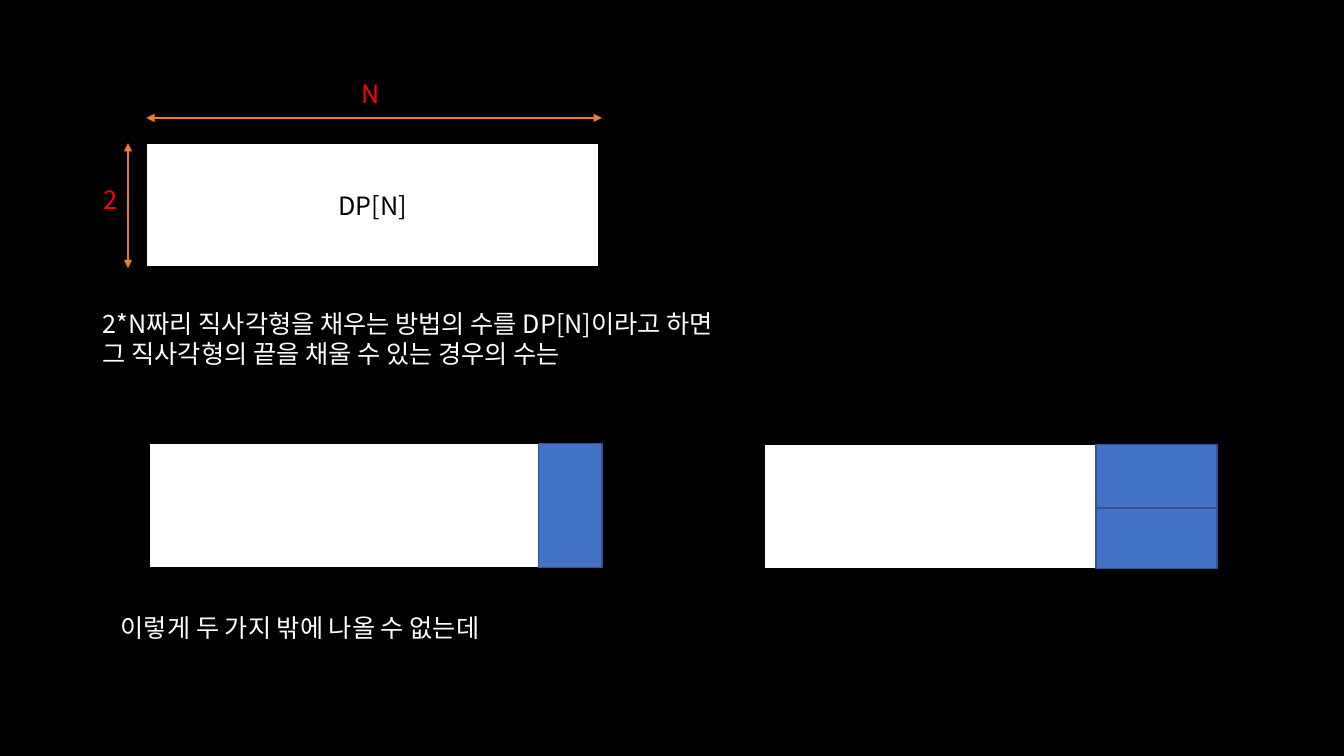
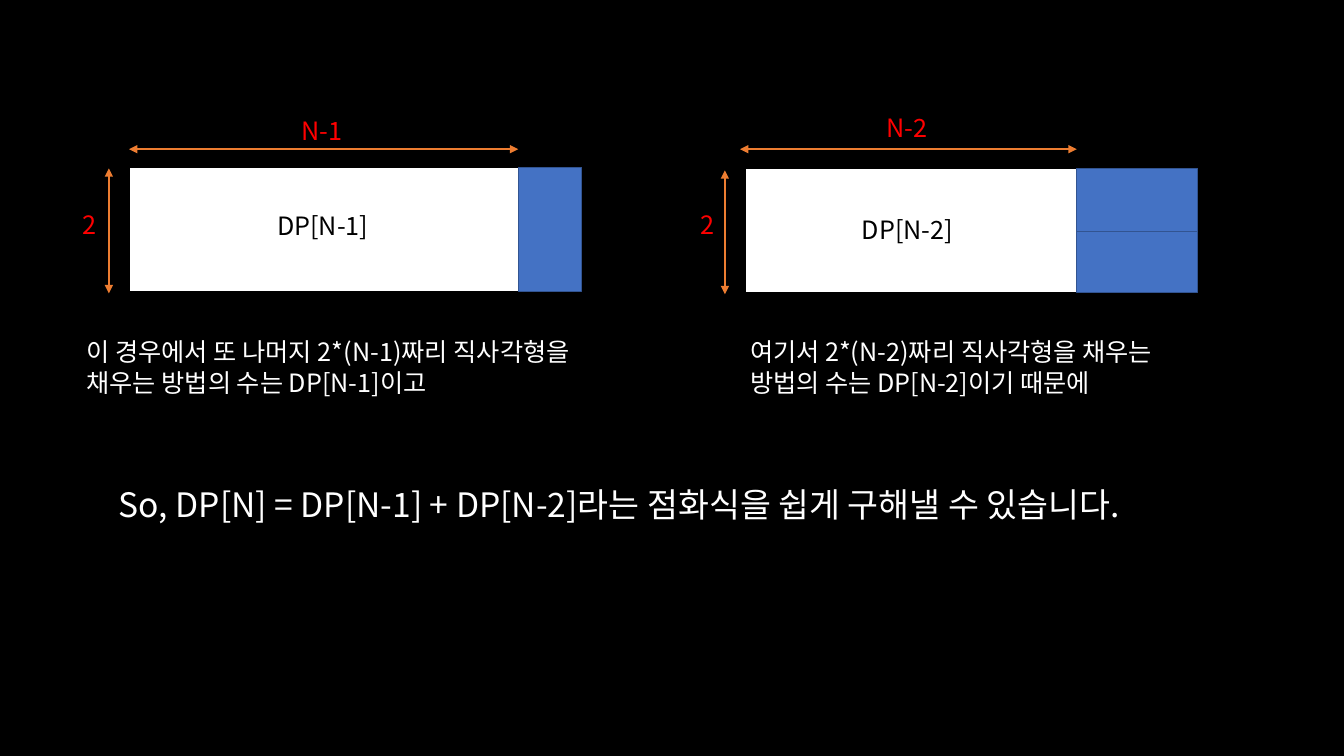
from lxml import etree
from pptx import Presentation
from pptx.dml.color import RGBColor
from pptx.enum.shapes import MSO_CONNECTOR, MSO_SHAPE
from pptx.enum.text import MSO_ANCHOR, MSO_AUTO_SIZE, PP_ALIGN
from pptx.oxml.ns import qn
from pptx.util import Pt

PX = 9144  # 100 px to the inch
BLACK = RGBColor(0x00, 0x00, 0x00)
WHITE = RGBColor(0xFF, 0xFF, 0xFF)
RED = RGBColor(0xFF, 0x00, 0x00)
ORANGE = RGBColor(0xED, 0x7D, 0x31)
BLUE = RGBColor(0x44, 0x72, 0xC4)
NAVY = RGBColor(0x32, 0x54, 0x91)
FONT = "Noto Sans CJK KR"
RECTANGLE = MSO_SHAPE.RECTANGLE
STRAIGHT = MSO_CONNECTOR.STRAIGHT
MIDDLE = MSO_ANCHOR.MIDDLE
CENTER = PP_ALIGN.CENTER
FIT_SHAPE = MSO_AUTO_SIZE.SHAPE_TO_FIT_TEXT

# The board and the dominoes that close it
BOARD_WIDTH, BOARD_HEIGHT = 449, 123
UPRIGHT_WIDTH = 63
FLAT_WIDTH, FLAT_HEIGHTS = 120, (63, 60)


class Painter:
    def __init__(self, deck):
        self.deck = deck
        self.page = None

    def new_page(self):
        self.page = self.deck.slides.add_slide(self.deck.slide_layouts[6])
        fill = self.page.background.fill
        fill.solid()
        fill.fore_color.rgb = BLACK

    def add_span(self, para, words, color, size):
        span = para.add_run()
        span.text = words
        for name, value in {"name": FONT, "size": Pt(size)}.items():
            setattr(span.font, name, value)
        span.font.color.rgb = color
        # East Asian letters take their font from a separate element
        etree.SubElement(span.font._element, qn("a:ea"), typeface=FONT)

    def text(self, left, top, width, lines, color=WHITE, size=18, height=40):
        box = self.page.shapes.add_textbox(left * PX, top * PX, width * PX, height * PX)
        frame = box.text_frame
        for name, value in {"word_wrap": False, "auto_size": FIT_SHAPE}.items():
            setattr(frame, name, value)
        for index, words in enumerate(lines):
            para = frame.add_paragraph() if index else frame.paragraphs[0]
            self.add_span(para, words, color, size)

    def rectangle(self, left, top, width, height, fill, edge):
        shape = self.page.shapes.add_shape(
            RECTANGLE, left * PX, top * PX, width * PX, height * PX)
        shape.shadow.inherit = False
        shape.fill.solid()
        shape.fill.fore_color.rgb = fill
        shape.line.color.rgb = edge
        shape.line.width = Pt(1)
        return shape

    def board(self, left, top, label=None):
        shape = self.rectangle(left, top, BOARD_WIDTH, BOARD_HEIGHT, WHITE, BLACK)
        if label:
            shape.text_frame.vertical_anchor = MIDDLE
            para = shape.text_frame.paragraphs[0]
            para.alignment = CENTER
            self.add_span(para, label, BLACK, 18)

    def board_with_upright(self, left, top):
        self.board(left, top)
        self.rectangle(left + BOARD_WIDTH - UPRIGHT_WIDTH, top,
                       UPRIGHT_WIDTH, BOARD_HEIGHT, BLUE, NAVY)

    def board_with_flats(self, left, top):
        self.board(left, top)
        for height in FLAT_HEIGHTS:
            self.rectangle(left + BOARD_WIDTH - FLAT_WIDTH, top,
                           FLAT_WIDTH, height, BLUE, NAVY)
            top += height

    def arrow(self, x1, y1, x2, y2):
        connector = self.page.shapes.add_connector(
            STRAIGHT, x1 * PX, y1 * PX, x2 * PX, y2 * PX)
        connector.line.color.rgb = ORANGE
        connector.line.width = Pt(1)
        line = connector.line._get_or_add_ln()
        for end in ("a:headEnd", "a:tailEnd"):
            etree.SubElement(line, qn(end), type="triangle")
        etree.SubElement(connector._element.spPr, qn("a:effectLst"))


def draw_cases(painter):
    painter.new_page()
    # The whole board and its measures
    painter.board(145, 142, "DP[N]")
    painter.arrow(145, 117, 597, 117)
    painter.text(349, 73, 39, ["N"], RED)
    painter.arrow(127, 266, 127, 142)
    painter.text(93, 178, 34, ["2"], RED)
    painter.text(92, 301, 699, ["2*N짜리 직사각형을 채우는 방법의 수를 DP[N]이라고 하면",
                                "그 직사각형의 끝을 채울 수 있는 경우의 수는"], height=71)
    # The two ways to close it
    painter.board_with_upright(148, 440)
    painter.board_with_flats(758, 441)
    painter.text(110, 603, 436, ["이렇게 두 가지 밖에 나올 수 없는데"])


def draw_recurrence(painter):
    painter.new_page()
    painter.board_with_upright(128, 166)
    painter.board_with_flats(739, 167)
    # Measures: across arrow, its label, down arrow, its label, board label
    measures = [
        ((128, 148, 514, 148), (289, 109, "N-1"), (108, 291, 108, 167), 72, (265, 204)),
        ((734, 148, 1068, 148), (869, 107, "N-2"), (719, 292, 719, 169), 685, (845, 208)),
    ]
    for across, (left, top, length), down, two_left, (name_left, name_top) in measures:
        painter.arrow(*across)
        painter.text(left, top, 64, [length], RED)
        painter.arrow(*down)
        painter.text(two_left, 203, 34, ["2"], RED)
        painter.text(name_left, name_top, 112, [f"DP[{length}]"], BLACK)
    # Explanations and the conclusion
    painter.text(76, 329, 552, ["이 경우에서 또 나머지 2*(N-1)짜리 직사각형을",
                                "채우는 방법의 수는 DP[N-1]이고"], height=71)
    painter.text(734, 329, 459, ["여기서 2*(N-2)짜리 직사각형을 채우는",
                                 "방법의 수는 DP[N-2]이기 때문에"], height=71)
    painter.text(108, 475, 1113,
                 ["So, DP[N] = DP[N-1] + DP[N-2]라는 점화식을 쉽게 구해낼 수 있습니다."],
                 size=24, height=50)


def main():
    deck = Presentation()
    deck.slide_width, deck.slide_height = 1333 * PX, 750 * PX
    painter = Painter(deck)
    draw_cases(painter)
    draw_recurrence(painter)
    deck.save("out.pptx")


if __name__ == "__main__":
    main()
